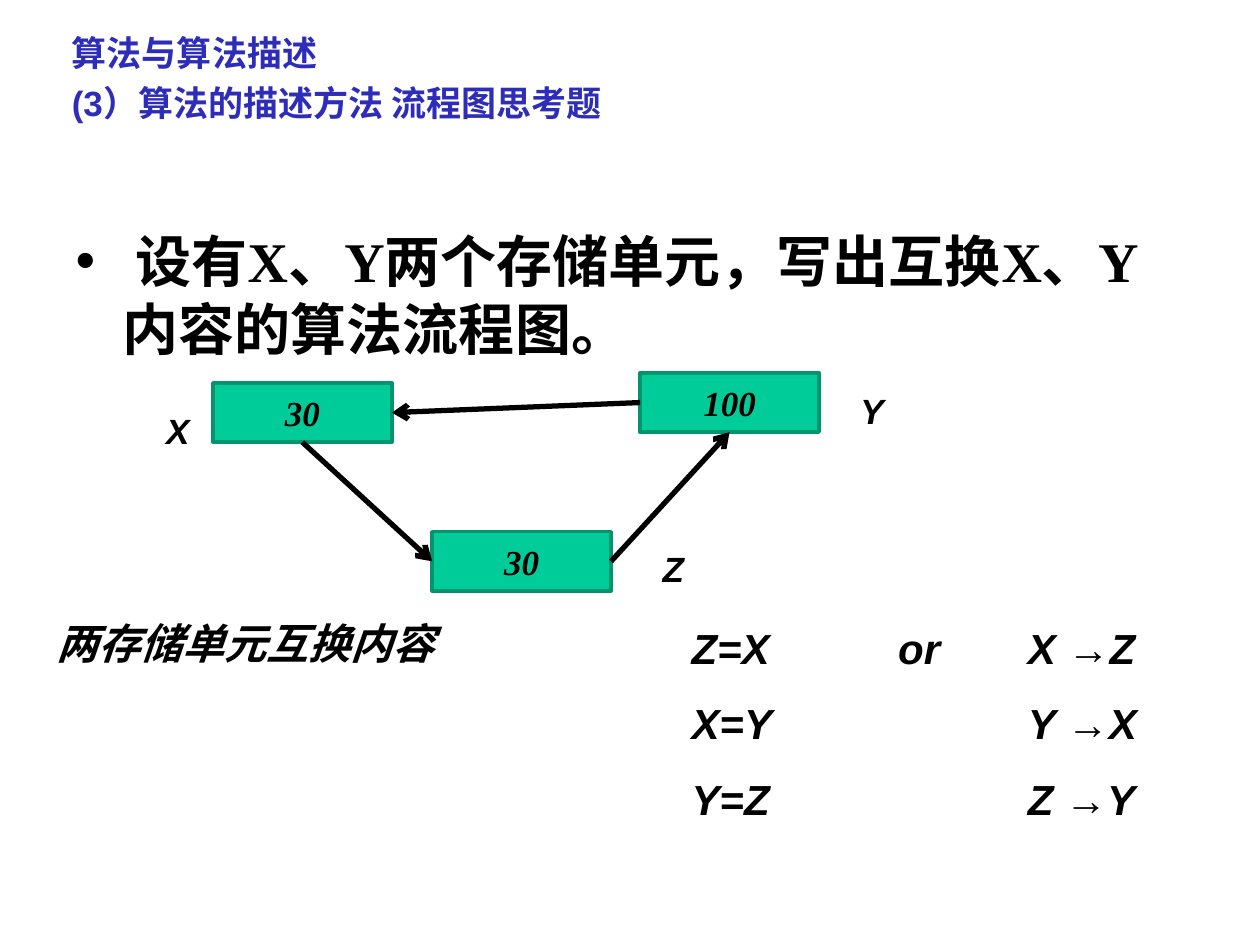
"""Build the slide on swapping the contents of two storage units."""
from dataclasses import dataclass

import lxml.etree
import pptx
import pptx.dml.color
import pptx.enum.shapes
import pptx.enum.text
import pptx.oxml.ns
import pptx.util

Inches = pptx.util.Inches
Align = pptx.enum.text.PP_ALIGN
Anchor = pptx.enum.text.MSO_ANCHOR
COLORS = {"title": "2D2DB9", "text": "000000", "box": "00CC99", "border": "00956F"}
BOX_WIDTH, BOX_HEIGHT = 1.42, 0.47
TOP, LEFT, BOTTOM, RIGHT = range(4)


@dataclass
class StorageUnit:
    name: str
    value: str
    left: float
    top: float
    label_left: float
    label_top: float
    label_width: float


@dataclass
class Move:
    source: str
    source_side: int
    target: str
    target_side: int


UNITS = [
    StorageUnit("X", "30", 1.69, 3.04, 1.22, 3.2, 0.39),
    StorageUnit("Z", "30", 3.43, 4.22, 5.16, 4.3, 0.79),
    StorageUnit("Y", "100", 5.08, 2.96, 6.73, 3.04, 0.31),
]
MOVES = [
    Move("Z", RIGHT, "Y", BOTTOM),
    Move("X", BOTTOM, "Z", LEFT),
    Move("Y", LEFT, "X", RIGHT),
]
EQUATIONS = ["Z=X\tor\tX →Z", "X=Y\t\tY →X", "Y=Z\t\tZ →Y"]


def rgb(name: str) -> pptx.dml.color.RGBColor:
    return pptx.dml.color.RGBColor.from_string(COLORS[name])


def place(shape, left: float, top: float, width: float, height: float) -> None:
    shape.left, shape.top = Inches(left), Inches(top)
    shape.width, shape.height = Inches(width), Inches(height)


def write(shape, lines, *, size=20, font="Arial", color="text", italic=True,
          align=Align.LEFT, anchor=Anchor.TOP, wrap=True, spacing=None,
          before=0, tabs=()) -> None:
    frame = shape.text_frame
    frame.word_wrap = wrap
    frame.auto_size = pptx.enum.text.MSO_AUTO_SIZE.NONE
    frame.vertical_anchor = anchor
    for index, line in enumerate(lines):
        paragraph = frame.add_paragraph() if index else frame.paragraphs[0]
        paragraph.text = line
        paragraph.alignment = align
        paragraph.space_before = pptx.util.Pt(before)
        paragraph.line_spacing = spacing
        if tabs:
            properties = paragraph._p.get_or_add_pPr()
            tab_list = lxml.etree.SubElement(properties, pptx.oxml.ns.qn("a:tabLst"))
            for position in tabs:
                lxml.etree.SubElement(tab_list, pptx.oxml.ns.qn("a:tab"),
                                      pos=str(Inches(position)), algn="l")
        for run in paragraph.runs:
            run.font.name = font
            run.font.size = pptx.util.Pt(size)
            run.font.bold = True
            run.font.italic = italic
            run.font.color.rgb = rgb(color)


def add_text(slide, lines, left: float, top: float, width: float, height: float,
             **text_format) -> None:
    shape = slide.shapes.add_textbox(Inches(left), Inches(top), Inches(width), Inches(height))
    write(shape, lines, **text_format)


def add_unit(slide, unit: StorageUnit):
    shape = slide.shapes.add_shape(
        pptx.enum.shapes.MSO_SHAPE.RECTANGLE, Inches(unit.left), Inches(unit.top),
        Inches(BOX_WIDTH), Inches(BOX_HEIGHT))
    shape.shadow.inherit = False
    shape.fill.solid()
    shape.fill.fore_color.rgb = rgb("box")
    shape.line.color.rgb = rgb("border")
    shape.line.width = pptx.util.Pt(2)
    write(shape, [unit.value], font="Times New Roman", align=Align.CENTER, anchor=Anchor.MIDDLE)
    add_text(slide, [unit.name], unit.label_left, unit.label_top, unit.label_width, 0.44)
    return shape


def add_move(slide, move: Move, boxes: dict) -> None:
    connector = slide.shapes.add_connector(
        pptx.enum.shapes.MSO_CONNECTOR.STRAIGHT, 0, 0, 0, 0)
    connector.begin_connect(boxes[move.source], move.source_side)
    connector.end_connect(boxes[move.target], move.target_side)
    connector.line.color.rgb = rgb("text")
    connector.line.width = pptx.util.Pt(3)
    line = connector.line._get_or_add_ln()
    lxml.etree.SubElement(line, pptx.oxml.ns.qn("a:tailEnd"), type="arrow")
    lxml.etree.SubElement(connector._element.spPr, pptx.oxml.ns.qn("a:effectLst"))


def main() -> None:
    presentation = pptx.Presentation()
    presentation.slide_width, presentation.slide_height = Inches(10), Inches(7.5)
    slide = presentation.slides.add_slide(presentation.slide_layouts[1])

    title, body = slide.shapes.title, slide.placeholders[1]
    place(title, 0.47, 0.13, 4.53, 0.9)
    write(title, ["算法与算法描述\v(3）算法的描述方法 流程图思考题"],
          color="title", italic=False, wrap=False, spacing=1.2)
    place(body, 0.5, 1.75, 9, 4.95)
    write(body, [" 设有X、Y两个存储单元，写出互换X、Y内容的算法流程图。"],
          size=32, font="Times New Roman", italic=False, before=8)

    add_text(slide, ["两存储单元互换内容"], 0.35, 4.85, 3.23, 0.5, size=24)
    add_text(slide, EQUATIONS, 5.39, 4.69, 3.94, 1.9, size=24, spacing=1.5, tabs=(1.64, 2.67))

    boxes = {unit.name: add_unit(slide, unit) for unit in UNITS}
    for move in MOVES:
        add_move(slide, move, boxes)

    presentation.save("out.pptx")


if __name__ == "__main__":
    main()
